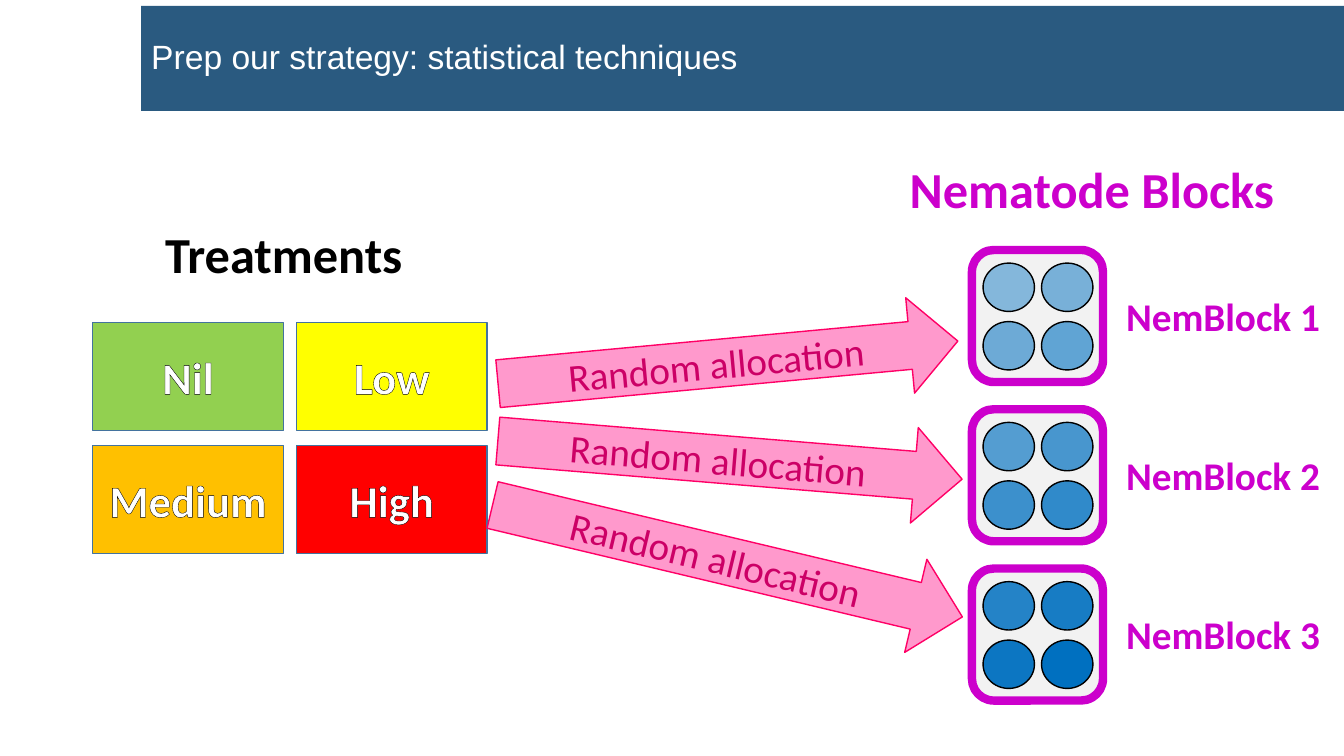
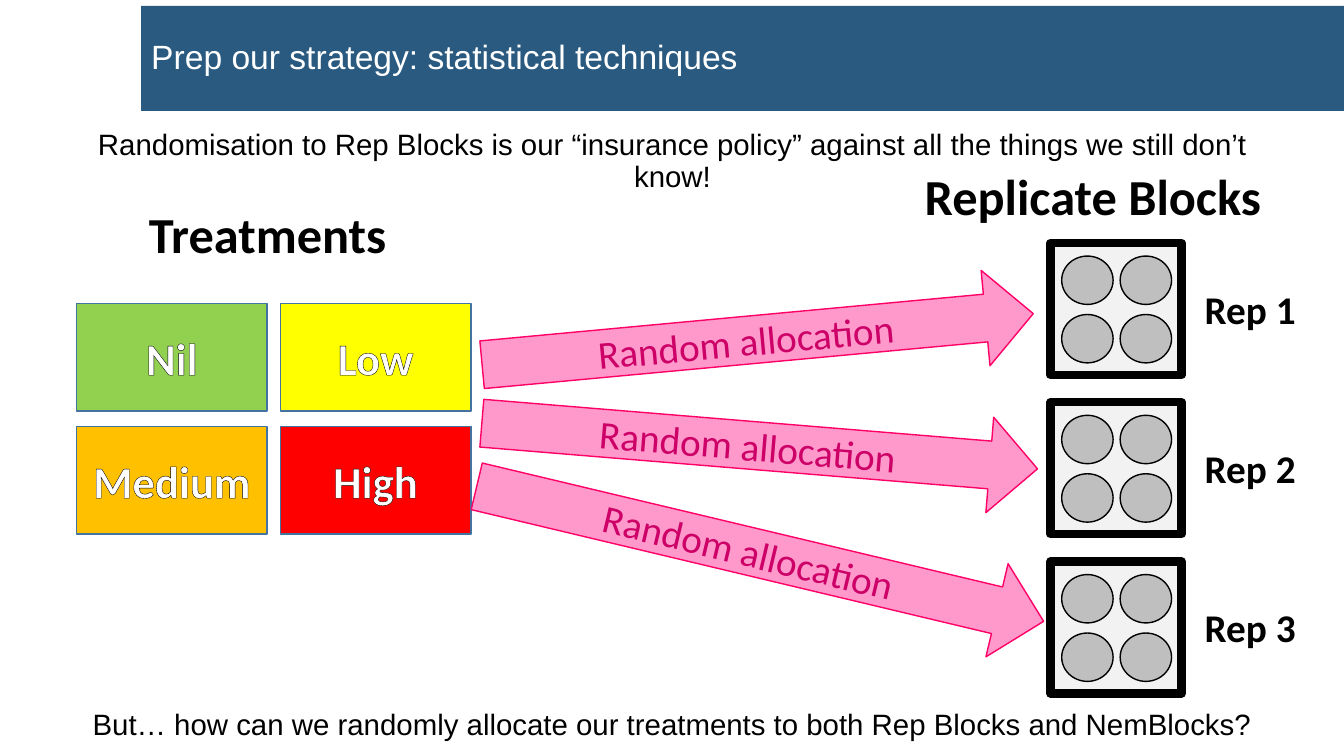
from dataclasses import dataclass
from typing import Optional

from lxml import etree
from pptx import Presentation
from pptx.dml.color import RGBColor
from pptx.enum import shapes as kinds, text as txt
from pptx.oxml import ns
from pptx.util import Pt

PX = 9144  # EMU; 100 px to the inch
KIND = kinds.MSO_SHAPE
MID = txt.PP_ALIGN.CENTER
LEFT = txt.PP_ALIGN.LEFT

BLACK, WHITE = "000000", "FFFFFF"
BAND, PLUM, BLUE = "2A5A80", "CC00CC", "0070C0"
GREY, PALE = "BFBFBF", "F2F2F2"
PINK, ROSE, WINE, STEEL = "FF99CC", "FF0066", "CC0066", "43739E"


@dataclass(frozen=True)
class Box:
    x: int
    y: int
    w: int
    h: int


@dataclass(frozen=True)
class Font:
    size: int
    color: str = BLACK
    bold: bool = False
    name: str = "Calibri"


@dataclass(frozen=True)
class Arrow:
    box: Box
    turn: float


@dataclass(frozen=True)
class Dose:
    name: str
    fill: str


@dataclass(frozen=True)
class Plan:
    """What differs between the two block designs."""
    head: str
    head_at: Box
    label: str
    label_w: int
    kind: int
    color: str
    dot: str
    fade: bool
    x: int
    y: int
    doses_x: int
    doses_y: int
    arrows: tuple[Arrow, ...]


HEAD = Font(36, bold=True)
NOTE = Font(21, name="Arial")
TITLE = "Prep our strategy: statistical techniques"
DOSES = (Dose("Nil", "92D050"), Dose("Low", "FFFF00"),
         Dose("Medium", "FFC000"), Dose("High", "FF0000"))

NEMA = Plan(
    "Nematode Blocks", Box(862, 152, 442, 71), "NemBlock", 215,
    KIND.ROUNDED_RECTANGLE, PLUM, BLUE, True, 964, 248, 92, 320,
    (Arrow(Box(493, 409, 462, 95), 4.7),
     Arrow(Box(493, 312, 458, 95), -5.3),
     Arrow(Box(482, 509, 479, 95), 13.4)))
REPS = Plan(
    "Replicate Blocks", Box(863, 159, 442, 71), "Rep", 111,
    KIND.RECTANGLE, BLACK, GREY, False, 1042, 241, 76, 301,
    (Arrow(Box(477, 395, 553, 95), 4.7),
     Arrow(Box(477, 289, 549, 95), -5.3),
     Arrow(Box(465, 502, 578, 95), 13.4)))


def rgb(code: str) -> RGBColor:
    return RGBColor.from_string(code)


def emu(box: Box) -> tuple[int, int, int, int]:
    return box.x * PX, box.y * PX, box.w * PX, box.h * PX


def place(shape, box: Box) -> None:
    shape.left, shape.top, shape.width, shape.height = emu(box)


def sink(tree, shape) -> None:
    """Move a shape to the back of a shape tree."""
    tree.element.insert(2, shape.element)


def write(frame, words: str, font: Font, align=MID):
    frame.text = words
    para = frame.paragraphs[0]
    para.alignment = align
    para.font.name = font.name
    para.font.size = Pt(font.size)
    para.font.bold = font.bold
    para.font.color.rgb = rgb(font.color)
    return para


def draw(slide, kind, box: Box, fill: str, line: Optional[str] = None,
         width: int = 1):
    shape = slide.shapes.add_shape(kind, *emu(box))
    shape.shadow.inherit = False
    shape.fill.solid()
    shape.fill.fore_color.rgb = rgb(fill)
    if line:
        shape.line.color.rgb = rgb(line)
        shape.line.width = Pt(width)
    else:
        shape.line.fill.background()
    return shape


def label(slide, box: Box, words: str, font: Font, align=MID, wrap=True):
    frame = slide.shapes.add_textbox(*emu(box)).text_frame
    frame.word_wrap = wrap
    frame.auto_size = txt.MSO_AUTO_SIZE.SHAPE_TO_FIT_TEXT
    return write(frame, words, font, align)


def fade(shape, share: int) -> None:
    """Set the opacity of a solid fill in percent."""
    color = shape.element.spPr.find(ns.qn("a:solidFill"))[0]
    etree.SubElement(color, ns.qn("a:alpha"), val=str(share * 1000))


def edge(para) -> None:
    """Outline the letters of a paragraph in black."""
    props = para.runs[0].font._element if hasattr(
        para.runs[0].font, "_element") else para.runs[0]._r.get_or_add_rPr()
    line = etree.Element(ns.qn("a:ln"), w=str(Pt(0.75)))
    fill = etree.SubElement(line, ns.qn("a:solidFill"))
    etree.SubElement(fill, ns.qn("a:srgbClr"), val=BLACK)
    props.insert(0, line)


def space(para) -> None:
    para.line_spacing = 0.9
    para.space_before = Pt(7.5)


def title(slide) -> None:
    shape = slide.shapes.title
    place(shape, Box(140, 6, 1180, 104))
    frame = shape.text_frame
    frame.auto_size = txt.MSO_AUTO_SIZE.NONE
    frame.vertical_anchor = txt.MSO_ANCHOR.MIDDLE
    para = write(frame, TITLE, Font(24, WHITE, name="Arial"), LEFT)
    para.line_spacing = 0.9


def body(slide, words: str) -> None:
    shape = slide.placeholders[1]
    place(shape, Box(64, 699, 1205, 51))
    shape.text_frame.auto_size = txt.MSO_AUTO_SIZE.NONE
    para = write(shape.text_frame, words, NOTE)
    space(para)
    props = para._p.get_or_add_pPr()
    props.set("marL", "0")
    props.set("indent", "0")
    props.insert(len(props) - 1, etree.Element(ns.qn("a:buNone")))


def doses(slide, x: int, y: int) -> None:
    for i, dose in enumerate(DOSES):
        row, col = divmod(i, 2)
        box = Box(x + 202 * col, y + 122 * row, 189, 107)
        cell = draw(slide, KIND.RECTANGLE, box, dose.fill, STEEL)
        edge(write(cell.text_frame, dose.name, Font(32, WHITE, True)))
    label(slide, Box(x + 46, y - 104, 287, 71), "Treatments", HEAD)


def blocks(slide, plan: Plan) -> None:
    font = Font(28, plan.color, True)
    for i in range(3):
        top = plan.y + 158 * i
        draw(slide, plan.kind, Box(plan.x, top, 130, 131), PALE,
             plan.color, 6)
        for j in range(4):
            row, col = divmod(j, 2)
            box = Box(plan.x + 11 + 58 * col, top + 13 + 58 * row, 51, 48)
            dot = draw(slide, KIND.OVAL, box, plan.dot, BLACK)
            if plan.fade:
                fade(dot, 45 + 5 * (4 * i + j))
        label(slide, Box(plan.x + 143, top + 37, plan.label_w, 57),
              f"{plan.label} {i + 1}", font, LEFT, wrap=False)
    label(slide, plan.head_at, plan.head, Font(36, plan.color, True))


def design(slide, plan: Plan) -> None:
    title(slide)
    blocks(slide, plan)
    doses(slide, plan.doses_x, plan.doses_y)
    for arrow in plan.arrows:
        shape = draw(slide, KIND.RIGHT_ARROW, arrow.box, PINK, ROSE)
        shape.rotation = arrow.turn
        write(shape.text_frame, "Random allocation", Font(28, WINE))


def main() -> None:
    prs = Presentation()
    prs.slide_width, prs.slide_height = 1333 * PX, 750 * PX

    nema = prs.slides.add_slide(prs.slide_layouts[5])
    band = draw(nema, KIND.RECTANGLE, Box(140, 6, 1193, 104), BAND)
    sink(prs.slide_master.shapes, band)
    design(nema, NEMA)

    reps = prs.slides.add_slide(prs.slide_layouts[1])
    strip = draw(reps, KIND.RECTANGLE, Box(0, 682, 1333, 68), WHITE)
    sink(reps.shapes, strip)
    space(label(reps, Box(46, 124, 1242, 91),
                "Randomisation to Rep Blocks is our “insurance policy” "
                "against all the things we still don’t know!", NOTE))
    design(reps, REPS)
    body(reps, "But… how can we randomly allocate our treatments "
               "to both Rep Blocks and NemBlocks?")
    prs.save("out.pptx")


if __name__ == "__main__":
    main()
